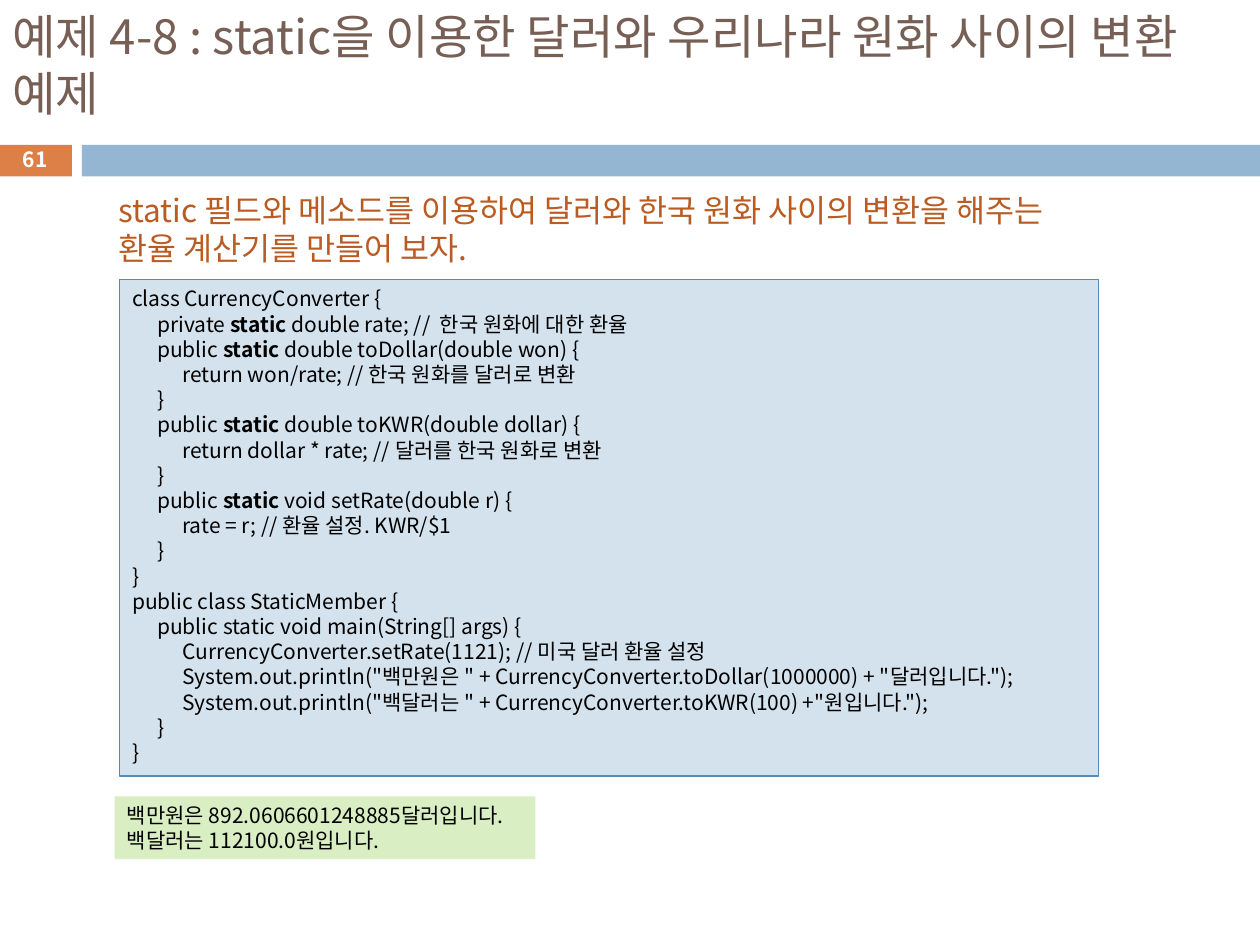
from lxml import etree
from pptx import Presentation
from pptx.dml.color import RGBColor
from pptx.enum.shapes import MSO_SHAPE as SHAPE
from pptx.enum.text import MSO_ANCHOR as ANCHOR, PP_ALIGN as ALIGN
from pptx.oxml.ns import qn
from pptx.util import Inches, Pt

COLORS = {
    "title": "775F55", "orange": "DD8047", "blue": "94B6D2",
    "lead": "B95B22", "code": "D4E2ED", "code_line": "558BB8",
    "output": "DAEEC4", "black": "000000", "white": "FFFFFF",
}

# Double asterisks enclose bold words
CODE = """\
class CurrencyConverter {
\tprivate **static** double rate; //  한국 원화에 대한 환율
\tpublic **static** double toDollar(double won) {
\t\treturn won/rate; // 한국 원화를 달러로 변환
\t}
\tpublic **static** double toKWR(double dollar) {
\t\treturn dollar * rate; // 달러를 한국 원화로 변환
\t}
\tpublic **static** void setRate(double r) {
\t\trate = r; // 환율 설정. KWR/$1
\t}
}
public class StaticMember {
\tpublic static void main(String[] args) {
\t\tCurrencyConverter.setRate(1121); // 미국 달러 환율 설정
\t\tSystem.out.println("백만원은 " + CurrencyConverter.toDollar(1000000) + "달러입니다.");
\t\tSystem.out.println("백달러는 " + CurrencyConverter.toKWR(100) +"원입니다.");
\t}
}"""

OUTPUT = """\
백만원은 892.0606601248885달러입니다.
백달러는 112100.0원입니다."""


class SlideBuilder:
    font = "Noto Sans CJK KR"
    line_height = 1.2
    tab_width = 0.2

    def __init__(self, slide):
        self.slide = slide

    def color(self, name):
        return RGBColor.from_string(COLORS[name])

    def box(self, x, y, w, h, fill, line=None):
        sp = self.slide.shapes.add_shape(
            SHAPE.RECTANGLE, Inches(x), Inches(y), Inches(w), Inches(h))
        sp.shadow.inherit = False
        sp.fill.solid()
        sp.fill.fore_color.rgb = self.color(fill)
        if line:
            sp.line.color.rgb = self.color(line)
            sp.line.width = Pt(0.75)
        else:
            sp.line.fill.background()
        return sp

    def label(self, x, y, w, h, text, size, color, **style):
        sp = self.slide.shapes.add_textbox(
            Inches(x), Inches(y), Inches(w), Inches(h))
        self.fill_text(sp, text, size, color, **style)

    def fill_text(self, sp, text, size, color, anchor=ANCHOR.TOP,
                  align=ALIGN.LEFT, bold=False):
        tf = sp.text_frame
        tf.word_wrap = True
        tf.vertical_anchor = anchor
        for i, line in enumerate(text.split("\n")):
            p = tf.add_paragraph() if i else tf.paragraphs[0]
            p.alignment = align
            p.line_spacing = Pt(size * self.line_height)
            if "\t" in line:
                self.add_tabs(p)
            for j, part in enumerate(line.split("**")):
                r = p.add_run()
                r.text = part
                self.format_run(r, size, color, bold or j % 2 == 1)

    def add_tabs(self, p):
        tabs = etree.SubElement(p._p.get_or_add_pPr(), qn("a:tabLst"))
        for level in (1, 2):
            etree.SubElement(tabs, qn("a:tab"), algn="l",
                             pos=str(Inches(self.tab_width * level)))

    def format_run(self, r, size, color, bold):
        r.font.size = Pt(size)
        r.font.name = self.font
        r.font.bold = bold
        r.font.color.rgb = self.color(color)
        etree.SubElement(r._r.get_or_add_rPr(), qn("a:ea"),
                         typeface=self.font)


def main():
    prs = Presentation()
    prs.slide_width, prs.slide_height = Inches(10), Inches(7.5)
    s = SlideBuilder(prs.slides.add_slide(prs.slide_layouts[6]))

    # Header bar, title and page number
    s.box(-0.01, 1.15, 0.58, 0.25, "orange")
    s.box(0.65, 1.15, 9.35, 0.25, "blue")
    s.label(0, 0, 9.96, 1.02,
            "예제 4-8 : static을 이용한 달러와 우리나라 원화 사이의 변환 예제",
            27, "title", anchor=ANCHOR.MIDDLE)
    s.label(-0.01, 1.13, 0.58, 0.27, "61", 12, "white",
            anchor=ANCHOR.MIDDLE, align=ALIGN.CENTER, bold=True)

    # Task
    s.label(0.84, 1.47, 7.87, 0.71,
            "static 필드와 메소드를 이용하여 달러와 한국 원화 사이의 변환을 "
            "해주는 환율 계산기를 만들어 보자.", 18, "lead")

    # Program and its output
    code = s.box(0.95, 2.22, 7.77, 3.94, "code", "code_line")
    s.fill_text(code, CODE, 12, "black")
    output = s.box(0.91, 6.32, 3.34, 0.5, "output")
    s.fill_text(output, OUTPUT, 12, "black")

    prs.save("out.pptx")


if __name__ == "__main__":
    main()
